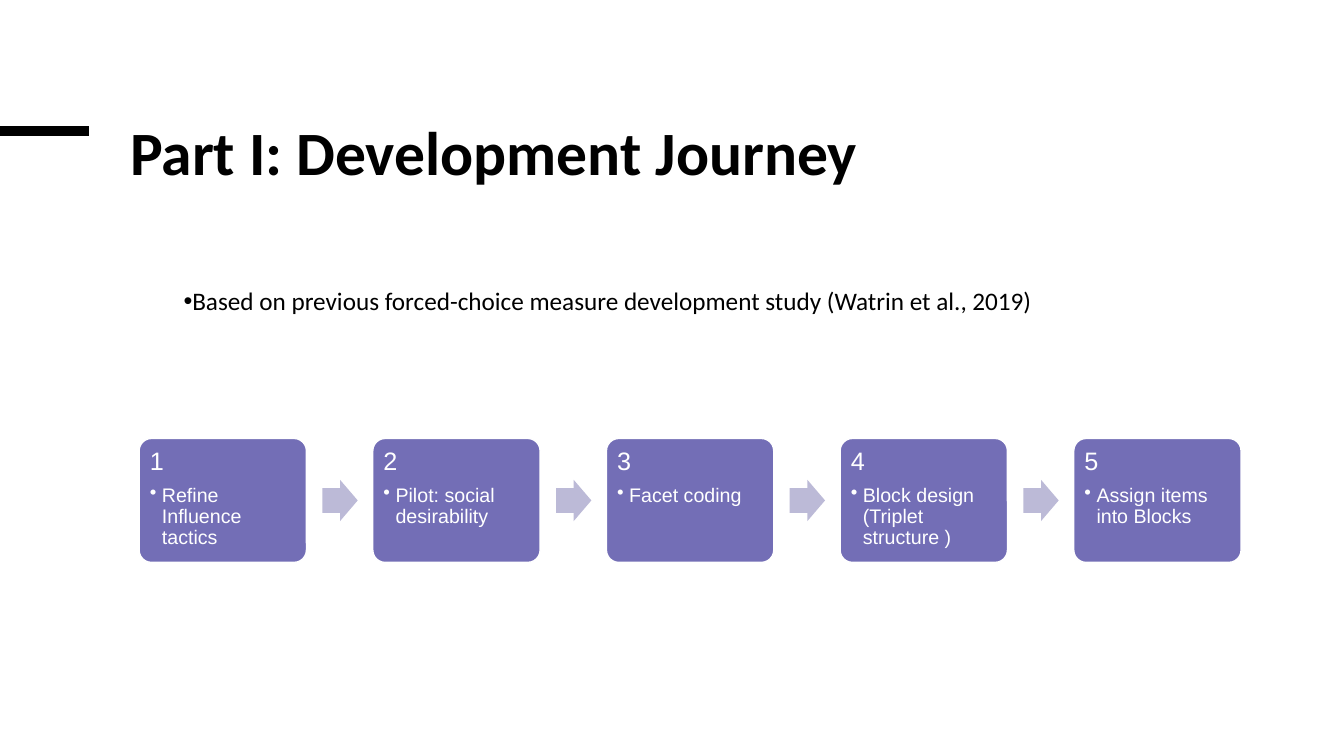
from dataclasses import dataclass

from lxml.etree import SubElement
from pptx import Presentation
from pptx.dml.color import RGBColor
from pptx.enum.shapes import MSO_CONNECTOR as Connector, MSO_SHAPE as Shape
from pptx.enum.text import MSO_ANCHOR as Anchor, MSO_AUTO_SIZE as AutoSize, PP_ALIGN as Align
from pptx.oxml.ns import qn
from pptx.util import Inches, Pt


@dataclass(frozen=True)
class Theme:
    ink: str = "000000"
    paper: str = "FFFFFF"
    step: str = "736EB6"
    arrow: str = "BCBAD7"
    text_font: str = "Calibri"
    step_font: str = "Arial"
    title_size: int = 44
    body_size: int = 18
    detail_size: int = 14


THEME = Theme()
STEPS = [
    "Refine Influence tactics",
    "Pilot: social desirability",
    "Facet coding",
    "Block design (Triplet structure )",
    "Assign items into Blocks",
]


def color(value):
    return RGBColor.from_string(value)


def style(paragraph, font, size, ink, bold=False):
    paragraph.alignment = Align.LEFT
    paragraph.font.name = font
    paragraph.font.size = Pt(size)
    paragraph.font.bold = bold
    paragraph.font.color.rgb = color(ink)


def add_bullet(paragraph, hanging=0):
    properties = paragraph._p.get_or_add_pPr()
    properties.set("marL", str(Inches(hanging)))
    properties.set("indent", str(-Inches(hanging)))
    SubElement(properties, qn("a:buChar")).set("char", "•")


def place(shape, box):
    shape.left, shape.top, shape.width, shape.height = map(Inches, box)


def fill_placeholder(placeholder, box, text):
    place(placeholder, box)
    frame = placeholder.text_frame
    frame.text = text
    frame.word_wrap = True
    frame.auto_size = AutoSize.NONE
    frame.vertical_anchor = Anchor.TOP
    paragraph = frame.paragraphs[0]
    paragraph.space_before = Pt(0)
    return paragraph


def add_heading(slide, box):
    left, top, width, height = box
    y = Inches(top + 0.11)
    rule = slide.shapes.add_connector(Connector.STRAIGHT, 0, y, Inches(left - 0.31), y)
    rule.line.color.rgb = color(THEME.ink)
    rule.line.width = Pt(6.75)
    SubElement(rule._element.spPr, qn("a:effectLst"))
    paragraph = fill_placeholder(slide.shapes.title, box, "Part I: Development Journey")
    paragraph.line_spacing = 0.85
    style(paragraph, THEME.text_font, THEME.title_size, THEME.ink, bold=True)


def add_basis(slide, box):
    paragraph = fill_placeholder(
        slide.placeholders[1], box,
        "Based on previous forced-choice measure development study (Watrin et al., 2019)")
    add_bullet(paragraph)
    style(paragraph, THEME.text_font, THEME.body_size, THEME.ink)


def add_block(slide, kind, box, fill):
    shape = slide.shapes.add_shape(kind, *map(Inches, box))
    shape.shadow.inherit = False
    shape.fill.solid()
    shape.fill.fore_color.rgb = color(fill)
    shape.line.fill.background()
    return shape


def add_step(slide, box, number, detail):
    card = add_block(slide, Shape.ROUNDED_RECTANGLE, box, THEME.step)
    card.adjustments[0] = 0.1
    card.line.color.rgb = color(THEME.paper)
    card.line.width = Pt(1)
    frame = card.text_frame
    frame.word_wrap = True
    frame.vertical_anchor = Anchor.TOP
    frame.margin_left = frame.margin_right = Inches(0.07)
    frame.margin_top = frame.margin_bottom = Inches(0.07)
    frame.text = f"{number}\n{detail}"
    heading, item = frame.paragraphs
    item.level = 1
    add_bullet(item, hanging=0.12)
    for paragraph, size, gap in ((heading, THEME.body_size, 6.3), (item, THEME.detail_size, 2.1)):
        paragraph.line_spacing = 0.9
        paragraph.space_after = Pt(gap)
        style(paragraph, THEME.step_font, size, THEME.paper)


def add_process(slide, box):
    """Spread the step cards over the box, with an arrow in each gap."""
    left, top, width, height = box
    card_width, arrow_width, arrow_height = 1.66, 0.35, 0.41
    pitch = (width - card_width) / (len(STEPS) - 1)
    arrow_top = top + (height - arrow_height) / 2
    for index, detail in enumerate(STEPS):
        x = left + index * pitch
        if index:
            add_block(slide, Shape.RIGHT_ARROW,
                      (x - 0.5, arrow_top, arrow_width, arrow_height),
                      THEME.arrow).adjustments[0] = 0.6
        add_step(slide, (x, top, card_width, height), index + 1, detail)


def main():
    presentation = Presentation()
    presentation.slide_width = Inches(13.33)
    presentation.slide_height = Inches(7.5)
    slide = presentation.slides.add_slide(presentation.slide_layouts[1])
    add_heading(slide, (1.19, 1.19, 10.85, 1.42))
    add_basis(slide, (1.72, 2.78, 9.8, 0.4))
    add_process(slide, (1.38, 4.35, 10.93, 1.23))
    presentation.save("out.pptx")


if __name__ == "__main__":
    main()
